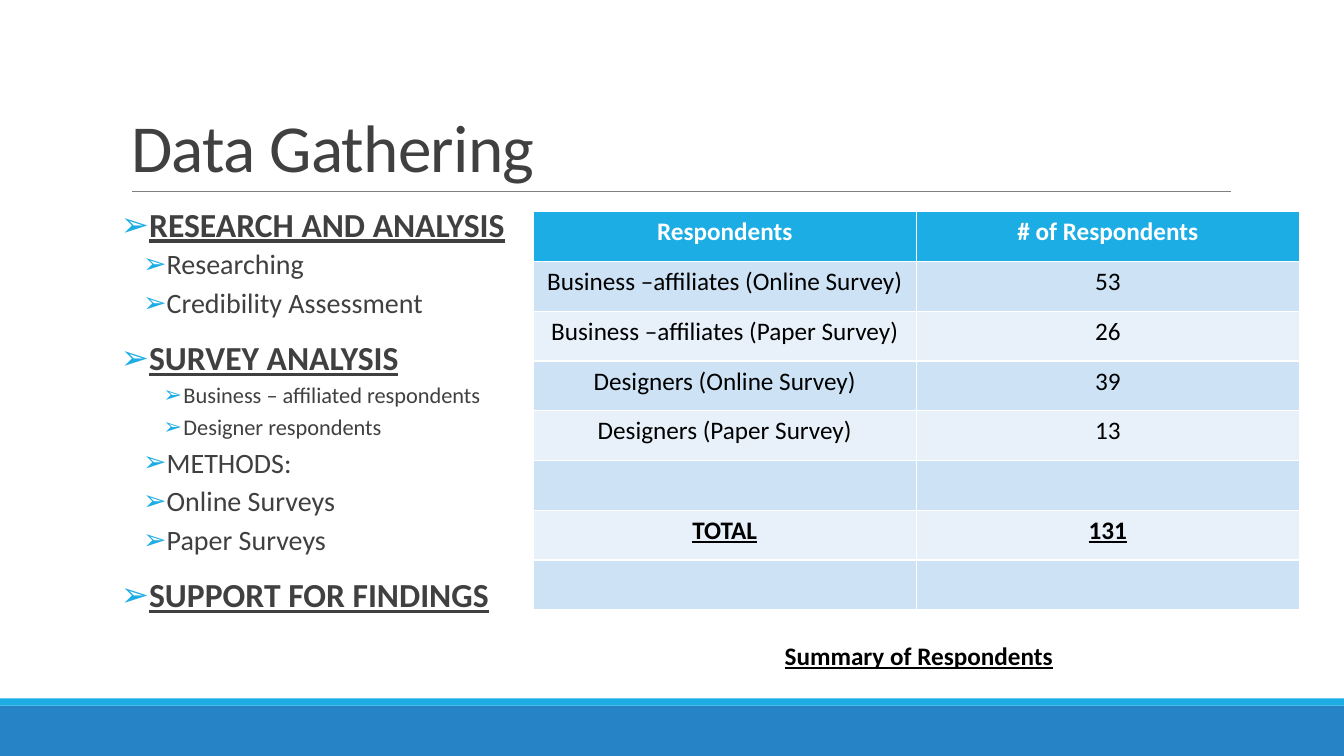
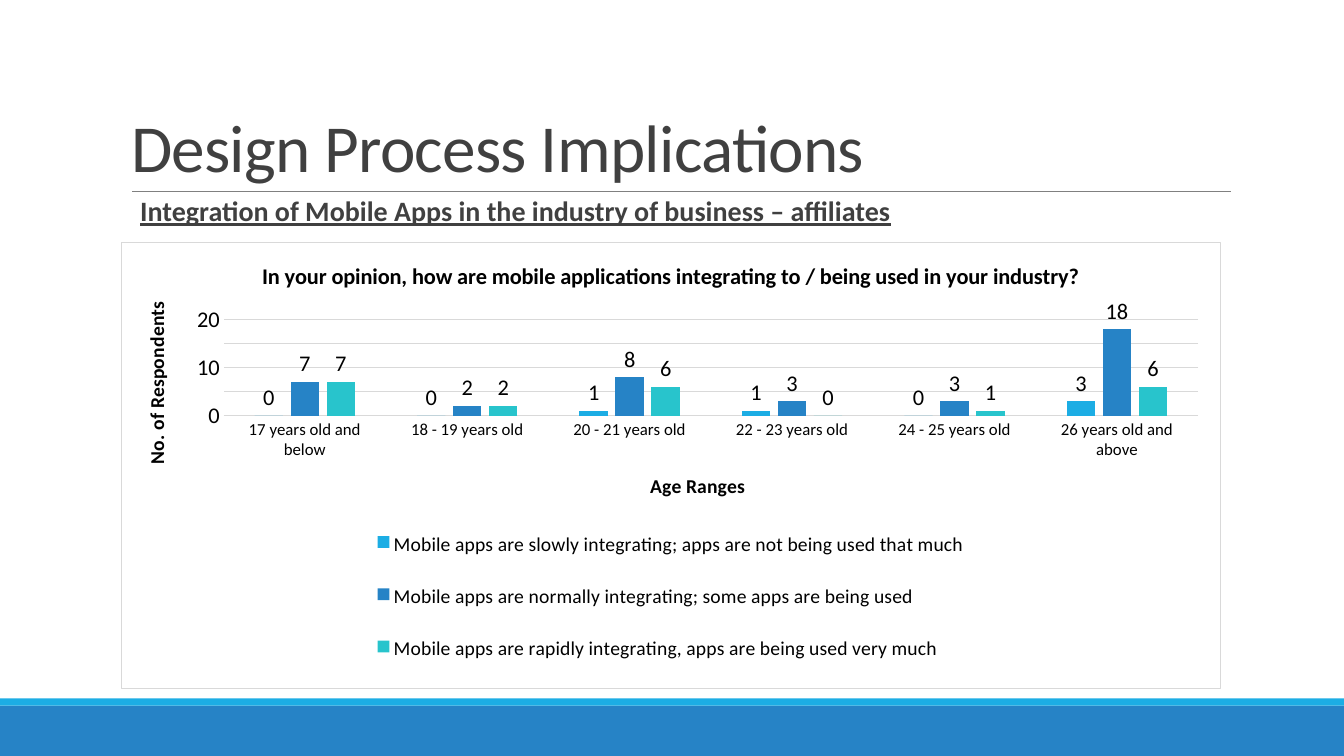
from lxml.etree import SubElement
from pptx import Presentation
from pptx.chart.data import CategoryChartData
from pptx.dml.color import RGBColor
from pptx.enum.chart import XL_CHART_TYPE, XL_LABEL_POSITION, XL_LEGEND_POSITION, XL_TICK_MARK
from pptx.enum.shapes import MSO_CONNECTOR, MSO_SHAPE
from pptx.enum.text import MSO_ANCHOR, MSO_AUTO_SIZE, PP_ALIGN
from pptx.oxml import parse_xml
from pptx.oxml.ns import nsdecls, qn
from pptx.util import Pt

PX = 9144
FACE = "Calibri"
HUES = {
    "sky": "1CADE4", "blue": "2683C6", "teal": "28C4CC", "ink": "404040",
    "black": "000000", "white": "FFFFFF", "rule": "808080", "grid": "D9D9D9",
    "dark": "CDE3F5", "pale": "E8F1FA",
}
HEAD = {"size": Pt(24), "bold": True, "underline": True}
LEVELS = {
    "head": (0, 10, -10, 12, 2, HEAD),
    "item": (1, 42, -20, 2, 4, {"size": Pt(20)}),
    "sub": (2, 62, -20, 2, 4, {"size": Pt(16)}),
    "lead": (0, 10, -10, 12, 2, HEAD | {"size": Pt(20)}),
}


def hue(name):
    return RGBColor.from_string(HUES[name])


def paint(part, name):
    part.fill.solid()
    part.fill.fore_color.rgb = hue(name)


def stroke(line, name, width):
    line.color.rgb = hue(name)
    line.width = Pt(width)


def assign(item, values):
    for key, value in values.items():
        setattr(item, key, value)


def style(font, color, **values):
    assign(font, {"name": FACE} | values)
    font.color.rgb = hue(color)


class Deck:
    """Holds the shared style and the current slide."""

    def __init__(self):
        self.file = Presentation()
        assign(self.file, {"slide_width": 1333 * PX + 3048, "slide_height": 750 * PX})

    def page(self, title):
        self.slide = self.file.slides.add_slide(self.file.slide_layouts[1])
        self.shapes = self.slide.shapes
        self.band(700, 50, "blue")
        self.band(693, 7, "sky")
        self.rule(131, 190, 1221)
        self.title(title)

    def band(self, top, height, color):
        shape = self.shapes.add_shape(
            MSO_SHAPE.RECTANGLE, 0, top * PX, self.file.slide_width, height * PX)
        shape.shadow.inherit = False
        paint(shape, color)
        shape.line.fill.background()

    def rule(self, left, top, right):
        line = self.shapes.add_connector(
            MSO_CONNECTOR.STRAIGHT, left * PX, top * PX, right * PX, top * PX)
        stroke(line.line, "rule", 0.5)
        SubElement(line._element.spPr, qn("a:effectLst"))

    def place(self, shape, box):
        assign(shape, dict(zip(("left", "top", "width", "height"), (n * PX for n in box))))
        frame = shape.text_frame
        assign(frame, {"word_wrap": True, "auto_size": MSO_AUTO_SIZE.NONE})
        return frame

    def title(self, text):
        frame = self.place(self.shapes.title, (120, 31, 1100, 159))
        frame.vertical_anchor = MSO_ANCHOR.BOTTOM
        para = frame.paragraphs[0]
        assign(para, {"alignment": PP_ALIGN.LEFT, "line_spacing": 0.85})
        run = para.add_run()
        run.text = text
        style(run.font, "ink", size=Pt(48))
        run.font._element.set("spc", "-50")

    def items(self, box, rows, mark="➢"):
        frame = self.place(self.slide.placeholders[1], box)
        assign(frame, {"margin_left": 0, "margin_right": 0, "vertical_anchor": MSO_ANCHOR.TOP})
        for index, (kind, text) in enumerate(rows):
            para = frame.add_paragraph() if index else frame.paragraphs[0]
            level, left, indent, before, after, look = LEVELS[kind]
            assign(para, {"level": level, "line_spacing": 0.9,
                          "space_before": Pt(before), "space_after": Pt(after)})
            run = para.add_run()
            run.text = text
            style(run.font, "ink", **look)
            props = para._p.get_or_add_pPr()
            props.set("marL", str(left * PX))
            props.set("indent", str(indent * PX))
            SubElement(SubElement(props, qn("a:buClr")), qn("a:srgbClr")).set("val", HUES["sky"])
            SubElement(props, qn("a:buChar")).set("char", mark)

    def label(self, box, text):
        frame = self.place(self.shapes.add_textbox(0, 0, 0, 0), box)
        self.center(frame, text, "black", bold=True, underline=True)

    def center(self, frame, text, color, **look):
        para = frame.paragraphs[0]
        para.alignment = PP_ALIGN.CENTER
        run = para.add_run()
        run.text = text
        style(run.font, color, size=Pt(18), **look)

    def table(self, box, rows):
        grid = self.shapes.add_table(len(rows), len(rows[0]), *(n * PX for n in box)).table
        for y, row in enumerate(rows):
            total = row[0] == "TOTAL"
            for x, text in enumerate(row):
                cell = grid.cell(y, x)
                paint(cell, ("dark" if y % 2 else "pale") if y else "sky")
                if text:
                    self.center(cell.text_frame, text, "black" if y else "white",
                                bold=total or not y, underline=total)

    def name(self, part, text, size):
        part.text_frame.text = text
        style(part.text_frame.paragraphs[0].runs[0].font, "black", size=Pt(size), bold=True)

    def chart(self, box, title, names, cats, series):
        data = CategoryChartData()
        data.categories = cats
        for name, _, values in series:
            data.add_series(name, values)
        chart = self.shapes.add_chart(
            XL_CHART_TYPE.COLUMN_CLUSTERED, *(n * PX for n in box), data).chart
        style(chart.font, "black", size=Pt(12))
        self.name(chart.chart_title, title, 16)
        chart.chart_title.include_in_layout = False
        plot = chart.plots[0]
        assign(plot, {"gap_width": 219, "overlap": -27,
                      "vary_by_categories": False, "has_data_labels": True})
        assign(plot.data_labels, {"show_value": True, "position": XL_LABEL_POSITION.OUTSIDE_END})
        style(plot.data_labels.font, "black", size=Pt(16))
        for bars, (_, color, _) in zip(plot.series, series):
            paint(bars.format, color)
            bars.invert_if_negative = False
        axes = (chart.category_axis, chart.value_axis)
        for axis, name, size in zip(axes, names, (12, 16)):
            self.name(axis.axis_title, name, 14)
            assign(axis, {"major_tick_mark": XL_TICK_MARK.NONE, "minor_tick_mark": XL_TICK_MARK.NONE})
            style(axis.tick_labels.font, "black", size=Pt(size))
        base, scale = axes
        stroke(base.format.line, "grid", 0.75)
        assign(scale, {"minimum_scale": 0, "maximum_scale": 20, "major_unit": 5})
        scale.format.line.fill.background()
        stroke(scale.major_gridlines.format.line, "grid", 0.75)
        turn = scale.axis_title.text_frame._element.bodyPr
        turn.set("rot", "-5400000")
        turn.set("vert", "horz")
        chart.has_legend = True
        assign(chart.legend, {"position": XL_LEGEND_POSITION.BOTTOM, "include_in_layout": False})
        style(chart.legend.font, "black", size=Pt(14))
        chart._chartSpace.find(qn("c:txPr")).addprevious(parse_xml(
            f'<c:spPr {nsdecls("c", "a")}>'
            f'<a:solidFill><a:srgbClr val="{HUES["white"]}"/></a:solidFill>'
            f'<a:ln w="{Pt(0.75)}"><a:solidFill><a:srgbClr val="{HUES["grid"]}"/></a:solidFill></a:ln>'
            '</c:spPr>'))


def main():
    deck = Deck()
    deck.page("Data Gathering")
    deck.items((120, 202, 1100, 440), [
        ("head", "RESEARCH AND ANALYSIS"),
        ("item", "Researching"),
        ("item", "Credibility Assessment"),
        ("head", "SURVEY ANALYSIS"),
        ("sub", "Business – affiliated respondents"),
        ("sub", "Designer respondents"),
        ("item", "METHODS:"),
        ("item", "Online Surveys"),
        ("item", "Paper Surveys"),
        ("head", "SUPPORT FOR FINDINGS"),
    ])
    deck.table((529, 210, 760, 395), [
        ("Respondents", "# of Respondents"),
        ("Business –affiliates (Online Survey)", "53"),
        ("Business –affiliates (Paper Survey)", "26"),
        ("Designers (Online Survey)", "39"),
        ("Designers (Paper Survey)", "13"),
        ("", ""),
        ("TOTAL", "131"),
        ("", ""),
    ])
    deck.label((707, 630, 409, 41), "Summary of Respondents")

    deck.page("Design Process Implications")
    deck.items((129, 191, 1126, 493), [
        ("lead", "Integration of Mobile Apps in the industry of business – affiliates"),
    ], mark=" ")
    deck.chart(
        (120, 240, 1091, 444),
        "In your opinion, how are mobile applications integrating to / being used in your industry?",
        ("Age Ranges", "No. of Respondents"),
        ("17 years old and below", "18 - 19 years old", "20 - 21 years old",
         "22 - 23 years old", "24 - 25 years old", "26 years old and above"),
        [
            ("Mobile apps are slowly integrating; apps are not being used that much\n",
             "sky", (0, 0, 1, 1, 0, 3)),
            ("Mobile apps are normally integrating; some apps are being used\n",
             "blue", (7, 2, 8, 3, 3, 18)),
            ("Mobile apps are rapidly integrating, apps are being used very much\n",
             "teal", (7, 2, 6, 0, 1, 6)),
        ])
    deck.file.save("out.pptx")


if __name__ == "__main__":
    main()
